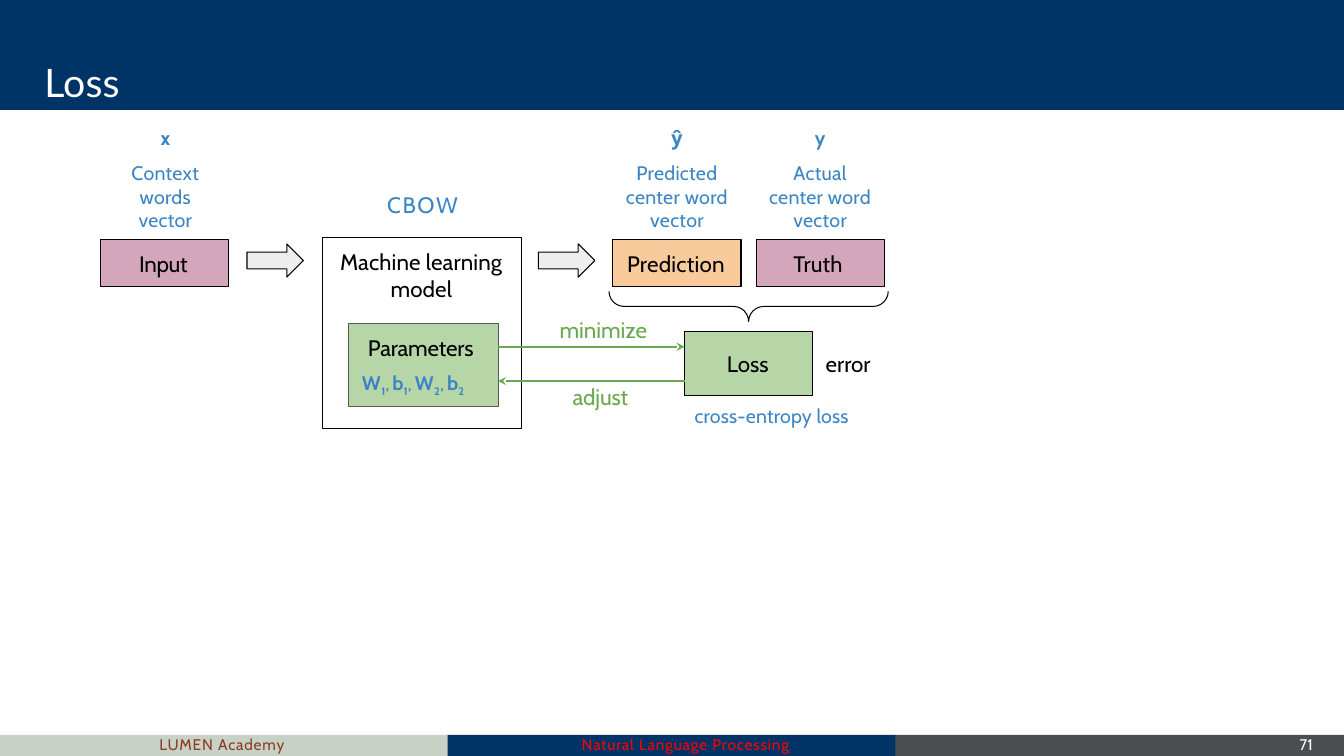
"""Build a slide on the loss of a CBOW model."""
import pptx
import pptx.dml.color
import pptx.enum.shapes
import pptx.enum.text
import pptx.oxml.ns
import pptx.util
from lxml import etree

Inches = pptx.util.Inches
Pt = pptx.util.Pt
RGBColor = pptx.dml.color.RGBColor
Shape = pptx.enum.shapes.MSO_SHAPE
Align = pptx.enum.text.PP_ALIGN
Anchor = pptx.enum.text.MSO_ANCHOR
qn = pptx.oxml.ns.qn

NAVY = RGBColor(0x00, 0x33, 0x66)
SAGE = RGBColor(0xC7, 0xD1, 0xC5)
SLATE = RGBColor(0x4C, 0x4E, 0x52)
RED = RGBColor(0xFF, 0x00, 0x00)
RUST = RGBColor(0x8D, 0x3C, 0x1E)
WHITE = RGBColor(0xFF, 0xFF, 0xFF)
BLACK = RGBColor(0x00, 0x00, 0x00)
GRAY = RGBColor(0x58, 0x58, 0x58)
PALE = RGBColor(0xEE, 0xEE, 0xEE)
PINK = RGBColor(0xD4, 0xA6, 0xBC)
PEACH = RGBColor(0xF8, 0xCA, 0x9C)
MINT = RGBColor(0xB6, 0xD6, 0xA8)
GREEN = RGBColor(0x6A, 0xA8, 0x4F)
BLUE = RGBColor(0x3C, 0x85, 0xC5)


class Board:
    def __init__(self, deck):
        self.font = "Cabin"
        self.slide = deck.slides.add_slide(deck.slide_layouts[5])
        self.shapes = self.slide.shapes

    def run(self, para, text, size=16, color=BLACK, bold=False, gap=0, base=0, font=None):
        run = para.add_run()
        run.text = text
        run.font.name = font or self.font
        run.font.size = Pt(size)
        run.font.bold = bold
        run.font.color.rgb = color
        props = run.font._element
        if gap:
            props.set("spc", str(round(gap * 100)))
        if base:
            props.set("baseline", str(base * 1000))

    def frame(self, shape, left=0, top=0, anchor=Anchor.TOP):
        frame = shape.text_frame
        frame.word_wrap = True
        frame.auto_size = pptx.enum.text.MSO_AUTO_SIZE.NONE
        frame.margin_left, frame.margin_top = Inches(left), Inches(top)
        frame.margin_right = frame.margin_bottom = 0
        frame.vertical_anchor = anchor
        para = frame.paragraphs[0]
        para.alignment = Align.LEFT
        return para

    def title(self, text, x, y, w, h):
        shape = self.shapes.title
        shape.left, shape.top = Inches(x), Inches(y)
        shape.width, shape.height = Inches(w), Inches(h)
        self.run(self.frame(shape), text, 28, WHITE, gap=0.1, font="Lato")
        self.shapes._spTree.append(shape._element)

    def shape(self, kind, x, y, w, h, fill=None, line=BLACK):
        shape = self.shapes.add_shape(kind, Inches(x), Inches(y), Inches(w), Inches(h))
        shape.shadow.inherit = False
        if fill is None:
            shape.fill.background()
        else:
            shape.fill.solid()
            shape.fill.fore_color.rgb = fill
        if line is None:
            shape.line.fill.background()
        else:
            shape.line.color.rgb = line
            shape.line.width = Pt(0.75)
        return shape

    def box(self, text, x, y, w, h, fill, left, gap=0):
        shape = self.shape(Shape.RECTANGLE, x, y, w, h, fill)
        self.run(self.frame(shape, left, anchor=Anchor.MIDDLE), text, gap=gap)

    def text(self, text, x, y, w, h, size=16, color=BLACK, gap=0, anchor=Anchor.TOP):
        shape = self.shapes.add_textbox(Inches(x), Inches(y), Inches(w), Inches(h))
        para = self.frame(shape, anchor=anchor)
        self.run(para, text, size, color, gap=gap)

    def lines(self, para, lines, **style):
        para.alignment = Align.CENTER
        for row, line in enumerate(lines):
            if row:
                para.add_line_break()
            self.run(para, line, **style)

    def label(self, symbol, lines, x, w):
        shape = self.shapes.add_textbox(Inches(x), Inches(1.25), Inches(w), Inches(1.06))
        para = self.frame(shape)
        para.alignment = Align.CENTER
        self.run(para, symbol, 14, BLUE, True, -0.7)
        para = shape.text_frame.add_paragraph()
        para.space_before = Pt(8.4)
        self.lines(para, lines, size=14, color=BLUE, gap=0.2)

    def model(self):
        self.shape(Shape.RECTANGLE, 3.2, 2.36, 1.97, 1.89)
        shape = self.shapes.add_textbox(Inches(3.33), Inches(2.46), Inches(1.7), Inches(0.55))
        self.lines(self.frame(shape), ["Machine learning", "model"], gap=0.1)

    def params(self):
        shape = self.shape(Shape.RECTANGLE, 3.46, 3.21, 1.48, 0.82, MINT, GRAY)
        para = self.frame(shape, 0.13, 0.1)
        para._p.get_or_add_pPr().set("marL", str(Inches(0.06)))
        self.run(para, "Parameters", gap=-0.1)
        para = shape.text_frame.add_paragraph()
        para.alignment = Align.LEFT
        para.space_before = Pt(7.7)
        for spot, (name, sub) in enumerate(["W1", "b1", "W2", "b2"]):
            if spot:
                self.run(para, ", ", 14, BLUE, gap=-1.1)
            self.run(para, name, 14, BLUE, True, 0.3 if name == "W" else -0.9)
            self.run(para, sub, 13.5, BLUE, True, -0.6, -22)

    def arrow(self, x1, x2, y):
        kind = pptx.enum.shapes.MSO_CONNECTOR.STRAIGHT
        line = self.shapes.add_connector(kind, Inches(x1), Inches(y), Inches(x2), Inches(y))
        line.line.color.rgb = GREEN
        line.line.width = Pt(1.5)
        etree.SubElement(line.line._get_or_add_ln(), qn("a:tailEnd"), type="stealth")
        etree.SubElement(line._element.spPr, qn("a:effectLst"))

    def brace(self, x, y, w, h):
        left, top = x + (w - h) / 2, y + (h - w) / 2
        shape = self.shape(Shape.RIGHT_BRACE, left, top, h, w)
        shape.rotation = 90
        shape.adjustments[0] = 0.5


def main():
    deck = pptx.Presentation()
    deck.slide_width, deck.slide_height = Inches(13.33), Inches(7.5)
    board = Board(deck)

    board.shape(Shape.RECTANGLE, 0, 0, 13.33, 1.09, NAVY, None)
    board.title("Loss", 0.44, 0.58, 3, 0.48)
    feet = [
        (SAGE, "LUMEN Academy", 1.58, RUST, 0.6),
        (NAVY, "Natural Language Processing", 5.77, RED, 0.6),
        (SLATE, "71", 12.89, WHITE, 0),
    ]
    for spot, (fill, text, x, color, gap) in enumerate(feet):
        board.shape(Shape.RECTANGLE, spot * 4.44, 7.29, 4.45, 0.21, fill, None)
        width = min(2.5, 13.33 - x)
        board.text(text, x, 7.28, width, 0.2, 11, color, gap, Anchor.MIDDLE)

    board.model()
    for x in (2.45, 5.34):
        board.shape(Shape.RIGHT_ARROW, x, 2.42, 0.56, 0.33, PALE)
    board.box("Input", 1, 2.38, 1.27, 0.46, PINK, 0.38, -0.2)
    board.box("Prediction", 6.08, 2.38, 1.27, 0.46, PEACH, 0.14, 0.2)
    board.box("Truth", 7.5, 2.38, 1.27, 0.46, PINK, 0.37, 0.1)
    board.brace(6.04, 2.89, 2.77, 0.3)
    board.box("Loss", 6.79, 3.29, 1.27, 0.63, MINT, 0.42)
    board.params()
    board.arrow(4.94, 6.79, 3.44)
    board.arrow(6.79, 4.94, 3.78)

    board.text("minimize", 5.55, 3.14, 1, 0.28, color=GREEN)
    board.text("adjust", 5.68, 3.8, 0.8, 0.28, color=GREEN, gap=-0.1)
    board.text("error", 8.19, 3.47, 0.7, 0.28)
    board.text("CBOW", 3.84, 1.9, 0.9, 0.28, color=BLUE, gap=1.2)
    board.text("cross-entropy loss", 6.89, 4.01, 1.8, 0.25, 14, BLUE, 0.1)
    board.label("x", ["Context", "words", "vector"], 1.28, 0.72)
    board.label("ŷ", ["Predicted", "center word", "vector"], 6.18, 1.07)
    board.label("y", ["Actual", "center word", "vector"], 7.6, 1.07)
    deck.save("out.pptx")


if __name__ == "__main__":
    main()
